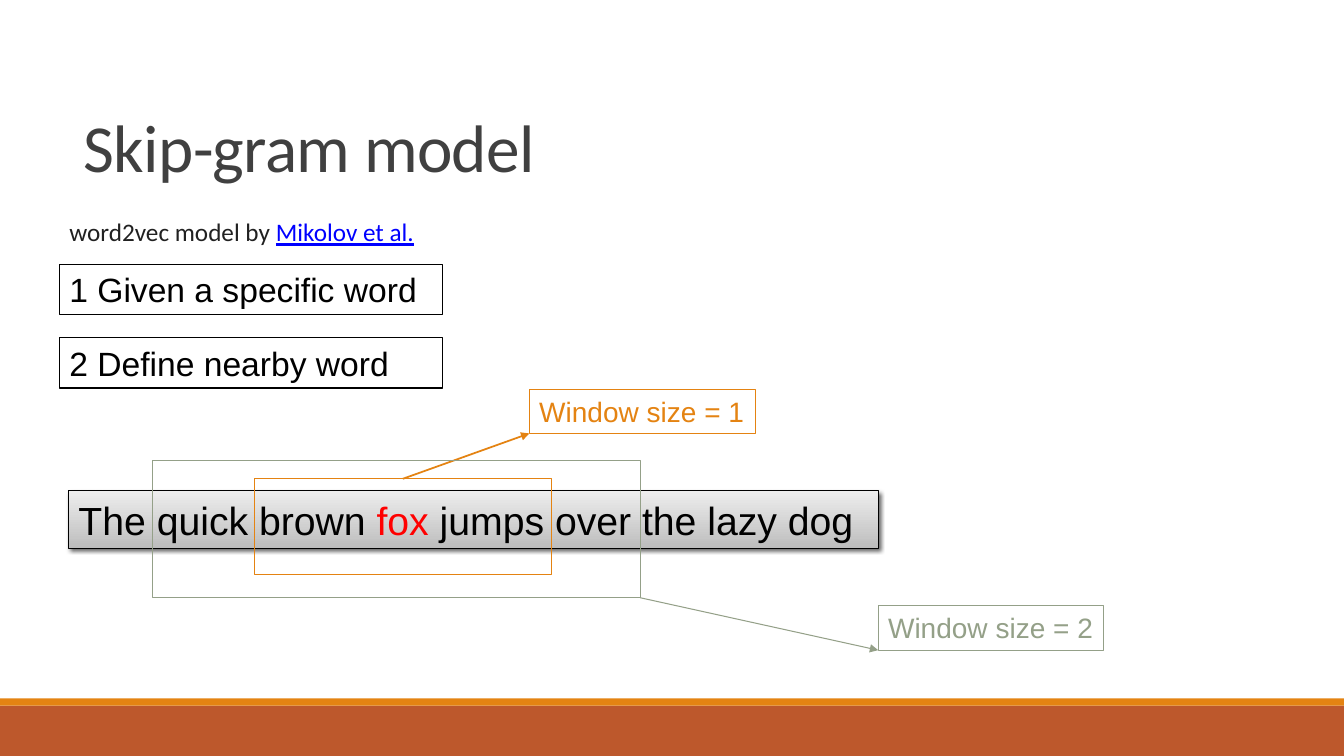
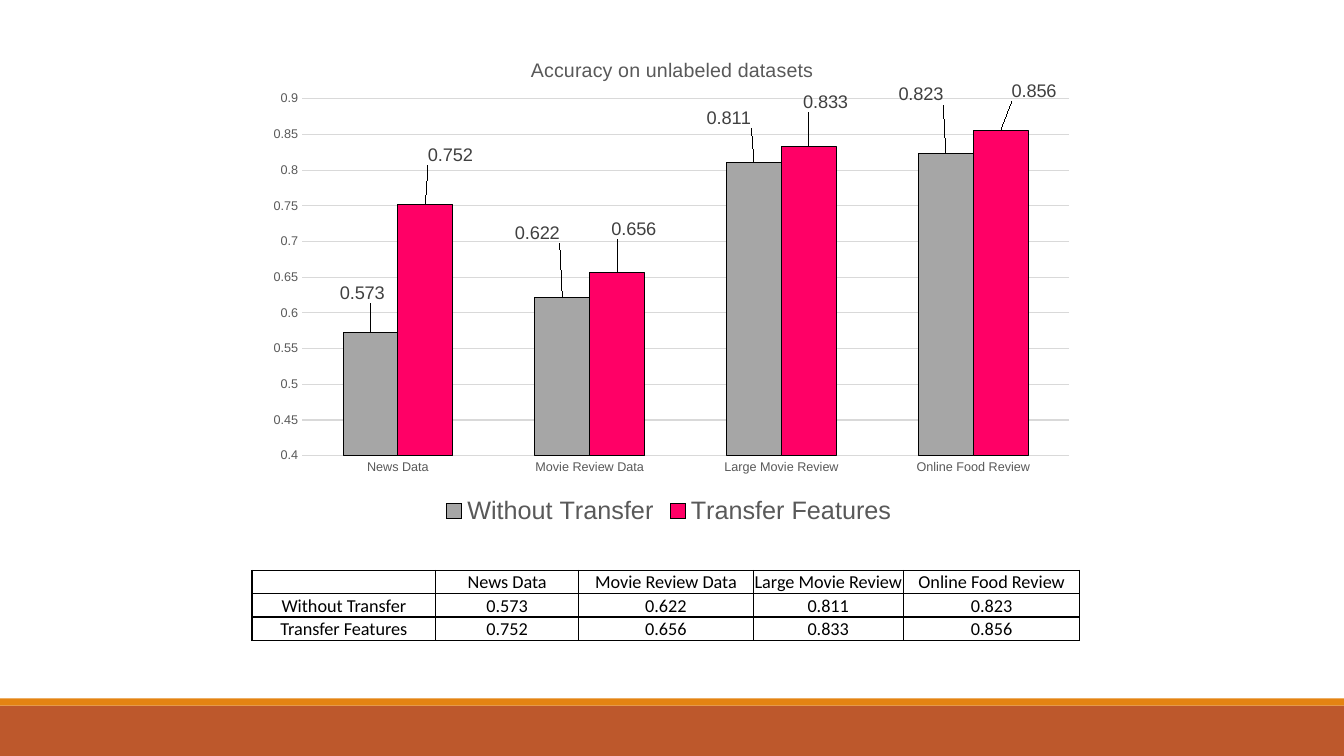
from dataclasses import dataclass
from lxml import etree
from pptx import Presentation
from pptx.chart import data as cd
from pptx.dml.color import RGBColor
from pptx.enum import chart as ce, shapes, text
from pptx.oxml import ns
from pptx.util import Inches, Pt


@dataclass(frozen=True)
class Theme:
    head: str = "Calibri"
    body: str = "Arial"
    rust: str = "BD582C"
    amber: str = "E48312"
    sage: str = "94A088"
    black: str = "000000"
    red: str = "FF0000"
    link: str = "0000FF"
    ink: str = "212121"
    dark: str = "404040"
    grey: str = "595959"
    grid: str = "D9D9D9"
    low: str = "BDBDBD"
    high: str = "EEEEEE"
    plain: str = "A6A6A6"
    pink: str = "FF0066"
    title: float = 48
    quote: float = 28
    step: float = 24
    tag: float = 20
    note: float = 18
    chart: float = 14
    cell: float = 13
    axis: float = 9
    thin: float = 0.75


T = Theme()
WIDE, HIGH = 13.33, 7.5
CATS = ["News Data", "Movie Review Data", "Large Movie Review",
        "Online Food Review"]
# name, colour, values, label shifts as shares of the chart's size
ROWS = [
    ("Without Transfer", T.plain, (0.573, 0.622, 0.811, 0.823),
     ((-0.01, -0.05), (-0.03, -0.1), (-0.03, -0.06), (-0.03, -0.09))),
    ("Transfer Features", T.pink, (0.752, 0.656, 0.833, 0.856),
     ((0.03, -0.07), (0.02, -0.06), (0.02, -0.06), (0.04, -0.05))),
]


def rgb(tone):
    return RGBColor.from_string(tone)


def inch(box):
    return [Inches(v) for v in box]


def sub(node, tag, **attrs):
    return etree.SubElement(node, ns.qn(tag), **attrs)


def style(font, face, size, tone):
    font.name, font.size, font.bold = face, Pt(size), False
    font.color.rgb = rgb(tone)


def write(frame, parts, face, size, tone):
    """Fill the first paragraph with (words, colour or None) parts."""
    frame.word_wrap = True
    para = frame.paragraphs[0]
    para.alignment = text.PP_ALIGN.LEFT
    style(para.font, face, size, tone)
    for words, hue in parts:
        run = para.add_run()
        run.text = words
        if hue:
            run.font.color.rgb = rgb(hue)
    return para


def rect(slide, box, fill=None, edge=None):
    shape = slide.shapes.add_shape(shapes.MSO_SHAPE.RECTANGLE, *inch(box))
    shape.shadow.inherit = False
    if fill:
        shape.fill.solid()
        shape.fill.fore_color.rgb = rgb(fill)
    else:
        shape.fill.background()
    if edge:
        shape.line.color.rgb = rgb(edge)
        shape.line.width = Pt(T.thin)
    else:
        shape.line.fill.background()
    return shape


def label(slide, box, words, size, tone):
    """Outlined box with text in the colour of its outline."""
    shape = rect(slide, box, edge=tone)
    shape.text_frame.vertical_anchor = text.MSO_ANCHOR.TOP
    write(shape.text_frame, [(words, None)], T.body, size, tone)


def arrow(slide, start, end, tone, width, source=None):
    line = slide.shapes.add_connector(
        shapes.MSO_CONNECTOR.STRAIGHT, *inch(start + end))
    if source:
        line.begin_connect(source, 0)
    line.line.color.rgb = rgb(tone)
    line.line.width = Pt(width)
    sub(line.line._get_or_add_ln(), "a:tailEnd", type="triangle")
    sub(line._element.spPr, "a:effectLst")


def base(deck):
    """Blank slide with the two bands at its foot."""
    slide = deck.slides.add_slide(deck.slide_layouts[6])
    rect(slide, (0, 7, WIDE, 0.5), T.rust)
    rect(slide, (0, 6.93, WIDE, 0.07), T.amber)
    return slide


def title(slide, box, words):
    frame = slide.shapes.add_textbox(*inch(box)).text_frame
    frame.margin_left = frame.margin_right = Inches(0.05)
    frame.vertical_anchor = text.MSO_ANCHOR.BOTTOM
    para = write(frame, [(words, None)], T.head, T.title, T.dark)
    para.line_spacing = 0.85
    para.runs[0].font._element.set("spc", "-50")


def quote(slide, box):
    """Shaded sentence with its centre word marked."""
    bar = rect(slide, box, edge=T.black)
    bar.fill.gradient()
    bar.fill.gradient_angle = 90
    for stop, tone in zip(bar.fill.gradient_stops, (T.low, T.high)):
        stop.color.rgb = rgb(tone)
    glow = sub(bar._element.spPr.find(ns.qn("a:effectLst")), "a:outerShdw",
               blurRad=str(Pt(3)), dist=str(Pt(2)), dir="2700000",
               algn="tl", rotWithShape="0")
    sub(sub(glow, "a:srgbClr", val=T.black), "a:alpha", val="60000")
    bar.text_frame.vertical_anchor = text.MSO_ANCHOR.TOP
    write(bar.text_frame,
          [("The quick brown ", None), ("fox", T.red),
           (" jumps over the lazy dog", None)], T.body, T.quote, T.black)


def windows(slide, x, y):
    """Sentence at x, y, with both context windows and their tags."""
    quote(slide, (x, y, 8.03, 0.57))
    near = rect(slide, (x + 1.84, y - 0.12, 2.95, 0.95), edge=T.amber)
    wide = (x + 0.83, y - 0.3, 4.84, 1.36)
    tags = [(x + 4.57, y - 1.01), (x + 8.03, y + 1.14)]
    for n, (spot, tone) in enumerate(zip(tags, (T.amber, T.sage)), 1):
        label(slide, (*spot, 2.24, 0.44), f"Window size = {n}", T.tag, tone)
    ends = [(left, top + 0.44) for left, top in tags]
    arrow(slide, (x + 3.32, y - 0.12), ends[0], T.amber, 1.25, near)
    rect(slide, wide, edge=T.sage)
    corner = (wide[0] + wide[2], wide[1] + wide[3])
    arrow(slide, corner, ends[1], T.sage, T.thin)


def model(deck):
    slide = base(deck)
    title(slide, (0.78, 0.43, 12.55, 1.47), "Skip-gram model")
    left = 0.59
    note = slide.shapes.add_textbox(*inch((left, 2.1, 3.8, 0.4)))
    para = write(note.text_frame,
                 [("word2vec model by\u00a0", None),
                  ("Mikolov et al.", T.link)], T.head, T.note, T.ink)
    para.runs[1].font.underline = True
    steps = ("1 Given a specific word", "2 Define nearby word")
    for n, words in enumerate(steps):
        label(slide, (left, 2.62 + n * 0.73, 3.8, 0.5), words, T.step,
              T.black)
    windows(slide, 0.68, 4.87)


def place(node, index, edge=False, **spots):
    """Give a chart part a manual layout as its child number index."""
    for old in node.findall(ns.qn("c:layout")):
        node.remove(old)
    outer = etree.Element(ns.qn("c:layout"))
    node.insert(index, outer)
    inner = sub(outer, "c:manualLayout")
    if "w" in spots:
        sub(inner, "c:layoutTarget", val="inner")
    if edge:
        for key in ("xMode", "yMode"):
            sub(inner, f"c:{key}", val="edge")
    for key, value in spots.items():
        sub(inner, f"c:{key}", val=str(value))


def axes(chart):
    for axis in (chart.category_axis, chart.value_axis):
        axis.major_tick_mark = axis.minor_tick_mark = ce.XL_TICK_MARK.NONE
        axis.format.line.fill.background()
        style(axis.tick_labels.font, T.body, T.axis, T.grey)
    axis.minimum_scale, axis.maximum_scale = 0.4, 0.9
    axis.major_unit = 0.05
    axis.has_major_gridlines = True
    line = axis.major_gridlines.format.line
    line.color.rgb, line.width = rgb(T.grid), Pt(T.thin)


def bars(series, tone, shifts):
    series.format.fill.solid()
    series.format.fill.fore_color.rgb = rgb(tone)
    series.format.line.color.rgb = rgb(T.black)
    series.format.line.width = Pt(T.thin)
    series.data_labels.show_value = True
    style(series.data_labels.font, T.body, T.cell, T.dark)
    for n in range(len(shifts)):
        tip = series.points[n].data_label
        style(tip.font, T.body, T.cell, T.dark)
        tip.position = ce.XL_LABEL_POSITION.OUTSIDE_END
    tips = series._element.findall(".//" + ns.qn("c:dLbl"))
    for tip, (x, y) in zip(tips, shifts):
        place(tip, 1, x=x, y=y)


def graph(slide, box):
    data = cd.CategoryChartData()
    data.categories = CATS
    for name, _, values, _ in ROWS:
        data.add_series(name, values)
    chart = slide.shapes.add_chart(
        ce.XL_CHART_TYPE.COLUMN_CLUSTERED, *inch(box), data).chart
    style(chart.font, T.body, 10, T.black)
    chart.has_title = True
    head = chart.chart_title
    head.text_frame.text = "Accuracy on unlabeled datasets"
    style(head.text_frame.paragraphs[0].font, T.body, T.chart, T.grey)
    place(head._element, 1, True, x=0.33, y=0.04)
    place(chart._chartSpace.chart.plotArea, 0, True,
          x=0.06, y=0.13, w=0.92, h=0.72)
    chart.has_legend = True
    chart.legend.position = ce.XL_LEGEND_POSITION.BOTTOM
    chart.legend.include_in_layout = False
    style(chart.legend.font, T.body, T.note, T.grey)
    axes(chart)
    plot = chart.plots[0]
    plot.gap_width, plot.overlap, plot.vary_by_categories = 150, 0, False
    for series, (_, tone, _, shifts) in zip(plot.series, ROWS):
        bars(series, tone, shifts)


def cell(item, words):
    item.margin_left = item.margin_right = item.margin_top = Inches(0.01)
    item.margin_bottom = 0
    item.vertical_anchor = text.MSO_ANCHOR.MIDDLE
    props = item._tc.get_or_add_tcPr()
    for side in "LRTB":
        line = sub(props, f"a:ln{side}", w=str(Pt(1)))
        sub(sub(line, "a:solidFill"), "a:srgbClr", val=T.black)
    item.fill.background()
    para = item.text_frame.paragraphs[0]
    if words:
        para.text = words
    else:
        sub(para._p, "a:endParaRPr", sz=str(T.cell * 100))
    para.alignment = text.PP_ALIGN.CENTER
    style(para.font, T.head, T.cell, T.black)


def table(slide, x, y, widths, height):
    rows = [["", *CATS]]
    rows += [[name, *map(str, values)] for name, _, values, _ in ROWS]
    box = (x, y, sum(widths), height * len(rows))
    grid = slide.shapes.add_table(len(rows), len(widths), *inch(box)).table
    grid.first_row = grid.horz_banding = False
    for col, width in zip(grid.columns, widths):
        col.width = Inches(width)
    for r, row in enumerate(rows):
        for c, words in enumerate(row):
            cell(grid.cell(r, c), words)


def results(deck):
    slide = base(deck)
    graph(slide, (2.5, 0.34, 8.27, 4.92))
    table(slide, 2.5, 5.66, (1.82, 1.42, 1.73, 1.49, 1.75), 0.23)


def main():
    deck = Presentation()
    deck.slide_width, deck.slide_height = Inches(WIDE), Inches(HIGH)
    model(deck)
    results(deck)
    deck.save("out.pptx")


if __name__ == "__main__":
    main()
